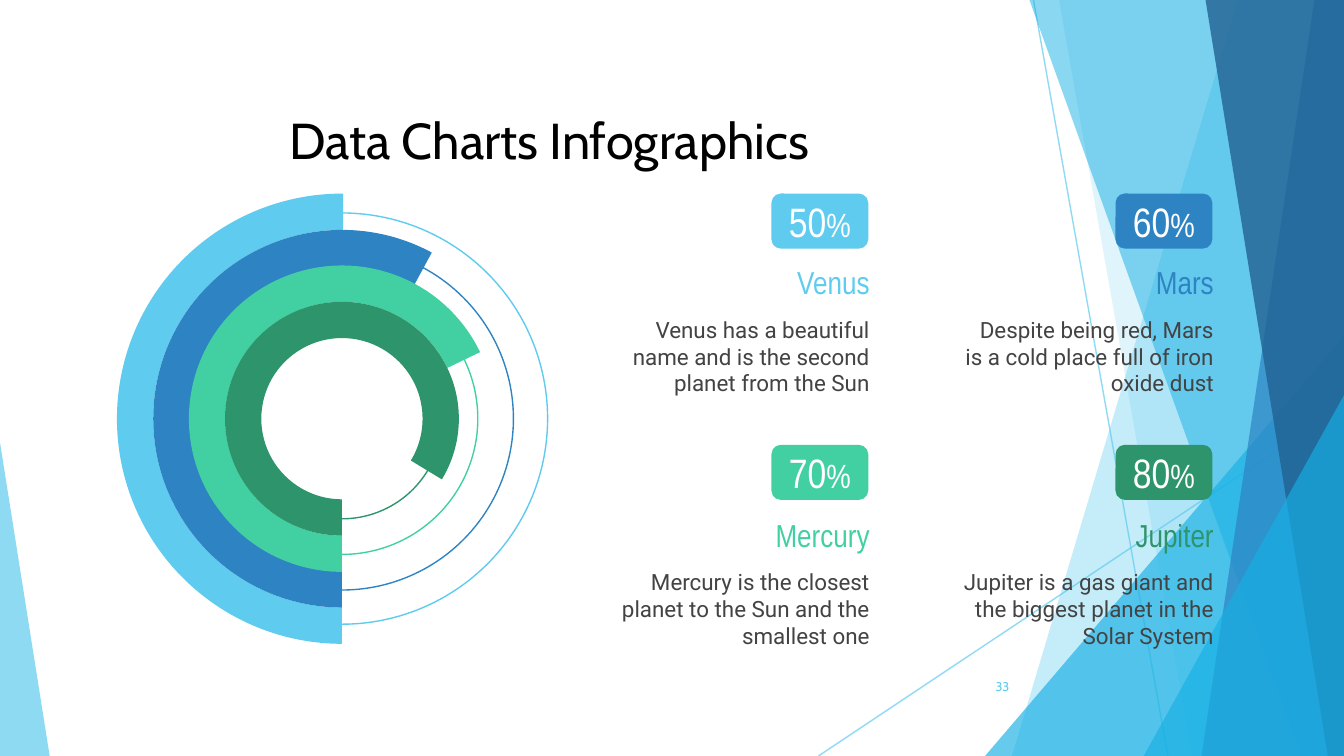
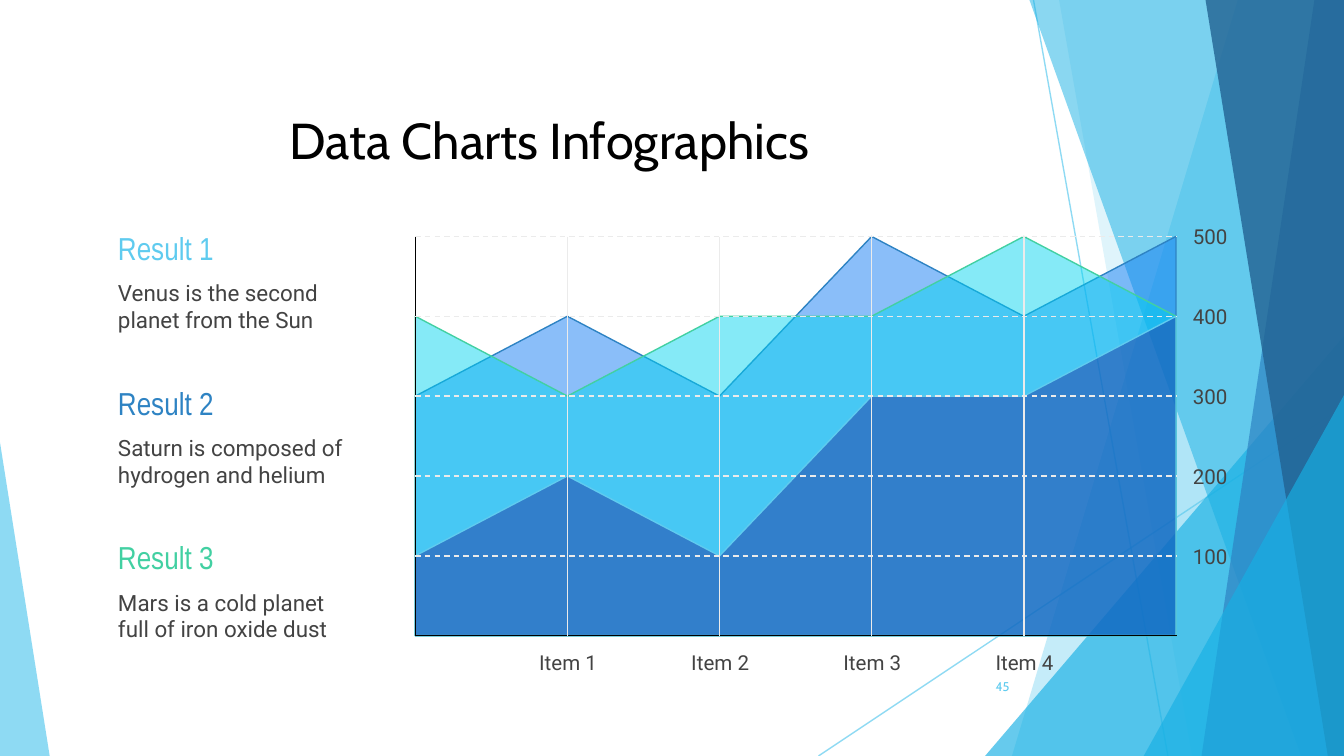
"""Build two data chart infographic slides."""
from lxml.etree import SubElement
from pptx import Presentation
from pptx.dml.color import RGBColor
from pptx.enum.dml import MSO_LINE
from pptx.enum.shapes import MSO_CONNECTOR, MSO_SHAPE
from pptx.enum.text import MSO_ANCHOR, PP_ALIGN
from pptx.oxml.ns import qn
from pptx.util import Inches, Pt

WIDE = 10
HIGH = WIDE * 9 / 16
INK = {
    "sky": "5FCBEF", "blue": "2E83C3", "mint": "42D0A2", "green": "2E946B",
    "cyan": "17B0E4", "navy": "226292", "black": "000000", "white": "FFFFFF",
    "gray": "434343", "grid": "EBEBEB",
    "azure": "0C79F3", "aqua": "00D4F0", "deep": "1E35A1",
}
HEAD, BODY, TITLE = "Arial Narrow", "Roboto", "Cabin"
LEFT, MID, RIGHT = PP_ALIGN.LEFT, PP_ALIGN.CENTER, PP_ALIGN.RIGHT


class Deck:
    """Hold the style and the current slide."""

    def __init__(self):
        self.prs = Presentation()
        self.prs.slide_width = Inches(WIDE)
        self.prs.slide_height = Inches(HIGH)
        self.slide = None

    def add(self, page):
        self.slide = self.prs.slides.add_slide(self.prs.slide_layouts[6])
        if page == 1:
            self.decor()

    def head(self, num):
        self.text("Data Charts Infographics", (0.56, 0.5, 7.05, 1.08), TITLE, 27, "black", MID)
        self.text(num, (7.05, 4.96, 0.56, 0.3), TITLE, 6.8, "sky", RIGHT)

    def fade(self, item, pct):
        for node in item.element.spPr.iter(qn("a:srgbClr")):
            SubElement(node, qn("a:alpha"), val=str(pct * 1000))

    def paint(self, item, fill=None, line=None, pct=100):
        item.shadow.inherit = False
        if fill:
            item.fill.solid()
            item.fill.fore_color.rgb = RGBColor.from_string(INK[fill])
            if pct < 100:
                self.fade(item, pct)
        else:
            item.fill.background()
        if line:
            item.line.color.rgb = RGBColor.from_string(INK[line])
            item.line.width = Pt(0.75)
        else:
            item.line.fill.background()
        return item

    def shape(self, kind, box, fill=None, line=None, pct=100, adj=()):
        item = self.slide.shapes.add_shape(kind, *map(Inches, box))
        for spot, value in enumerate(adj):
            item.adjustments[spot] = value
        return self.paint(item, fill, line, pct)

    def free(self, dots, fill, line=None, pct=100):
        dots = [(Inches(x), Inches(y)) for x, y in dots]
        pen = self.slide.shapes.build_freeform(*dots[0])
        pen.add_line_segments(dots[1:], close=True)
        return self.paint(pen.convert_to_shape(), fill, line, pct)

    def line(self, start, end, ink, dash=None, pct=100):
        item = self.slide.shapes.add_connector(
            MSO_CONNECTOR.STRAIGHT, *map(Inches, (*start, *end)))
        item.line.color.rgb = RGBColor.from_string(INK[ink])
        item.line.width = Pt(0.75)
        if dash:
            item.line.dash_style = dash
        if pct < 100:
            self.fade(item, pct)
        SubElement(item.element.spPr, qn("a:effectLst"))

    def frame(self, item, face, ink, align, side=0.1):
        area = item.text_frame
        area.word_wrap = True
        area.vertical_anchor = MSO_ANCHOR.MIDDLE
        area.margin_left = area.margin_right = Inches(side)
        area.margin_top = area.margin_bottom = Inches(0.1)
        para = area.paragraphs[0]
        para.alignment = align
        para.font.name = face
        para.font.color.rgb = RGBColor.from_string(INK[ink])
        return para

    def text(self, words, box, face, size, ink, align=LEFT, side=0.1):
        item = self.slide.shapes.add_textbox(*map(Inches, box))
        para = self.frame(item, face, ink, align, side)
        para.font.size = Pt(size)
        para.add_run().text = words

    def badge(self, num, box, ink):
        item = self.shape(MSO_SHAPE.ROUNDED_RECTANGLE, box, ink, adj=[0.17])
        para = self.frame(item, HEAD, "white", MID)
        for words, size in ((num, 22), ("%", 18)):
            run = para.add_run()
            run.text = words
            run.font.size = Pt(size)

    def ring(self, ink, turn, outer, inner):
        def box(size):
            inset = (3.35 - size) / 2
            return 0.87 + inset, 1.44 + inset, size, size

        self.shape(MSO_SHAPE.OVAL, box(inner), line=ink)
        arc = self.shape(MSO_SHAPE.BLOCK_ARC, box(outer), ink,
                         adj=[turn * 0.6, 269.95 * 0.6, 0.27 / outer])
        arc.rotation = 180
        arc.element.spPr.xfrm.set("flipH", "1")

    def decor(self):
        """Draw the side bands and move them to the slide master."""
        def band(top, low, ink, pct):
            self.free([(top, 0), (WIDE, 0), (WIDE, HIGH), (low, HIGH)], ink, pct=pct)

        def wedge(left, top, wide, tip, ink, pct):
            self.shape(MSO_SHAPE.ISOSCELES_TRIANGLE, (left, top, wide, HIGH - top),
                       ink, pct=pct, adj=[tip])

        self.line((7.69, 0), (8.69, HIGH), "sky", pct=70)
        self.line((WIDE, 3.02), (6.09, HIGH), "sky", pct=70)
        band(9.21, 7.53, "sky", 36)
        band(7.88, 8.87, "sky", 20)
        wedge(7.33, 2.5, 2.67, 1, "cyan", 66)
        band(7.66, 9.68, "cyan", 50)
        band(9.78, 8.94, "blue", 70)
        band(8.97, 9.88, "navy", 80)
        wedge(8.51, 2.94, 1.49, 1, "cyan", 66)
        wedge(0, 3.29, 0.37, 0, "sky", 70)
        tree = self.prs.slide_master.shapes.element
        for num, item in enumerate(list(self.slide.shapes), 100):
            next(item.element.iter(qn("p:cNvPr"))).set("id", str(num))
            tree.append(item.element)


def rings(deck):
    """Build the slide of ring gauges."""
    deck.add(1)
    for ring in (("sky", 89.73, 3.35, 3.06), ("blue", 61.64, 2.81, 2.55),
                 ("mint", 25.75, 2.28, 2.02), ("green", 328.73, 1.74, 1.49)):
        deck.ring(*ring)
    deck.head("33")
    cards = (
        ("50", "Venus", "sky", "Venus has a beautiful name and is the second planet from the Sun"),
        ("60", "Mars", "blue", "Despite being red, Mars is a cold place full of iron oxide dust"),
        ("70", "Mercury", "mint", "Mercury is the closest planet to the Sun and the smallest one"),
        ("80", "Jupiter", "green",
         "Jupiter is a gas giant and the biggest planet in the Solar System"),
    )
    for spot, (num, name, ink, note) in enumerate(cards):
        row, col = divmod(spot, 2)
        x, y = 4.51 + 2.56 * col, 1.95 + 1.88 * row
        deck.text(note, (x, y + 0.32, 2.06, 0.76), BODY, 12, "gray", RIGHT)
        deck.text(name, (x, y, 2.06, 0.3), HEAD, 17, ink, RIGHT)
        deck.badge(num, (x + 1.23, 1.44 + 1.87 * row, 0.72, 0.41), ink)


def areas(deck):
    """Build the slide of overlapping areas."""
    deck.add(2)
    left, base, end = 3.09, 4.73, 8.76
    xs = [left + (8.75 - left) / 5 * spot for spot in range(6)]
    ys = [base - (base - 1.76) / 5 * spot for spot in range(6)]
    for fill, line, pct, steps in (("azure", "blue", 48, (3, 4, 3, 5, 4, 5)),
                                   ("aqua", "mint", 48, (4, 3, 4, 4, 5, 4)),
                                   ("deep", "sky", 49, (1, 2, 1, 3, 3, 4))):
        dots = [(x, ys[step]) for x, step in zip(xs, steps)]
        deck.free([*dots, (xs[-1], base), (left, base)], fill, line, pct)
    deck.head("45")
    deck.line((left, base), (end, base), "black")
    deck.line((left, ys[-1]), (left, base), "black")
    for spot, y in enumerate(ys[1:], 1):
        deck.text(str(spot * 100), (8.79, y - 0.11, 0.43, 0.22), BODY, 11, "gray", MID, 0)
        deck.line((left, y), (end, y), "grid", MSO_LINE.DASH)
    for spot, x in enumerate(xs[1:5], 1):
        deck.text(f"Item {spot}", (x - 0.38, 4.82, 0.77, 0.22), BODY, 11, "gray", MID)
        deck.line((x, ys[-1]), (x, base), "grid")
    notes = (("sky", "Venus is the second planet from the Sun"),
             ("blue", "Saturn is composed of hydrogen and helium"),
             ("mint", "Mars is a cold planet full of iron oxide dust"))
    for spot, (ink, note) in enumerate(notes):
        y = 1.7 + 1.15 * spot
        deck.text(f"Result {spot + 1}", (0.78, y, 1.94, 0.29), HEAD, 17, ink)
        deck.text(note, (0.78, y + 0.28, 1.94, 0.6), BODY, 12, "gray")


def main():
    """Build and save the deck."""
    deck = Deck()
    rings(deck)
    areas(deck)
    deck.prs.save("out.pptx")


if __name__ == "__main__":
    main()
